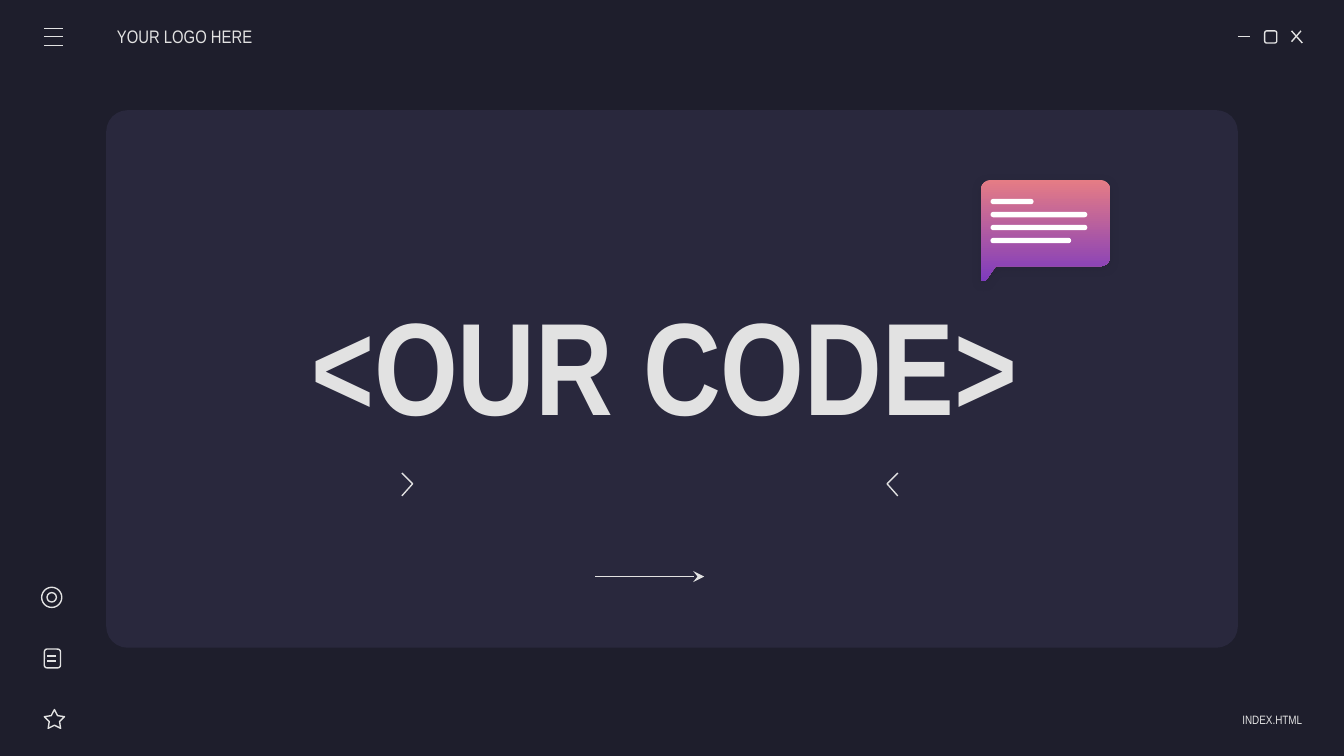
from dataclasses import dataclass
from math import cos, radians, sin

from lxml.etree import SubElement
from pptx import Presentation
from pptx.dml.color import RGBColor as RGB
from pptx.enum.shapes import MSO_CONNECTOR as Link, MSO_SHAPE as Kind
from pptx.enum.text import MSO_ANCHOR as Anchor, PP_ALIGN as Align
from pptx.oxml.ns import qn
from pptx.util import Inches, Pt


@dataclass(frozen=True)
class Theme:
    back: RGB = RGB.from_string("1E1E2C")
    panel: RGB = RGB.from_string("29283D")
    ink: RGB = RGB.from_string("E2E2E2")
    white: RGB = RGB.from_string("FFFFFF")
    coral: RGB = RGB.from_string("E57C85")
    purple: RGB = RGB.from_string("7E3BBE")
    font: str = "Arial Narrow"
    title: float = 70.4
    label: float = 9.7
    small: float = 6.5
    stroke: float = 0.75


theme = Theme()
deck = Presentation()
deck.slide_width = Inches(10)
deck.slide_height = Inches(10 * 9 / 16)
slide = deck.slides.add_slide(deck.slide_layouts[6])
slide.background.fill.solid()
slide.background.fill.fore_color.rgb = theme.back
shapes = slide.shapes


def paint(shape, fill=None):
    """Fill a shape, or only outline it when no fill is given."""
    shape.shadow.inherit = False
    if fill is None:
        shape.fill.background()
        shape.line.color.rgb = theme.ink
        shape.line.width = Pt(theme.stroke)
    else:
        shape.fill.solid()
        shape.fill.fore_color.rgb = fill
        shape.line.fill.background()


def write(text, box, size, bold=False, align=Align.LEFT, inset=0, space=1):
    frame = shapes.add_textbox(*map(Inches, box)).text_frame
    frame.word_wrap = True
    frame.vertical_anchor = Anchor.MIDDLE
    frame.margin_left = frame.margin_right = Inches(inset)
    frame.margin_top = frame.margin_bottom = Inches(inset)
    para = frame.paragraphs[0]
    para.alignment, para.line_spacing = align, space
    run = para.add_run()
    run.text = text
    run.font.name, run.font.size, run.font.bold = theme.font, Pt(size), bold
    run.font.color.rgb = theme.ink


# Main panel
panel = shapes.add_shape(Kind.ROUNDED_RECTANGLE, *map(Inches, (0.79, 0.82, 8.42, 4)))
panel.adjustments[0] = 0.04
paint(panel, theme.panel)

# Outlined icons: window box, star, page, ring
icons = [
    (Kind.ROUNDED_RECTANGLE, 9.41, 0.23, 0.09, 0.09),
    (Kind.STAR_5_POINT, 0.33, 5.28, 0.15, 0.14),
    (Kind.ROUNDED_RECTANGLE, 0.33, 4.83, 0.12, 0.14),
    (Kind.OVAL, 0.31, 4.37, 0.15, 0.15),
    (Kind.OVAL, 0.35, 4.41, 0.07, 0.07),
]
for kind, *box in icons:
    icon = shapes.add_shape(kind, *map(Inches, box))
    if kind == Kind.STAR_5_POINT:
        icon.adjustments[0] = 0.254
    paint(icon)

# Strokes: window buttons, menu bars, page lines, arrow
strokes = [
    (9.21, 0.27, 9.3, 0.27),
    (9.61, 0.23, 9.69, 0.32),
    (9.68, 0.23, 9.61, 0.31),
    *[(0.33, y, 0.47, y) for y in (0.21, 0.27, 0.34)],
    *[(0.35, y, 0.42, y) for y in (4.88, 4.92)],
    (4.43, 4.29, 5.24, 4.29),
]
for ends in strokes:
    stroke = shapes.add_connector(Link.STRAIGHT, *map(Inches, ends))
    stroke.line.color.rgb = theme.ink
    stroke.line.width = Pt(theme.stroke)
    props = stroke._element.spPr
    SubElement(props, qn("a:effectLst"))
# The last stroke is the arrow
SubElement(props.find(qn("a:ln")), qn("a:tailEnd"), type="stealth")

# Chevrons, mirrored
for base, tip in ((2.99, 3.07), (6.68, 6.6)):
    pen = shapes.build_freeform(Inches(base), Inches(3.52))
    pen.add_line_segments(
        [(Inches(tip), Inches(3.6)), (Inches(base), Inches(3.69))], close=False)
    paint(pen.convert_to_shape())

# Speech bubble: three round corners and a tail
radius = 0.07
edge = [
    (x + radius * cos(radians(turn + step)), y + radius * sin(radians(turn + step)))
    for x, y, turn in ((7.37, 1.41, 180), (8.19, 1.41, 270), (8.19, 1.91, 0))
    for step in range(0, 91, 10)
]
edge += [(7.41, 1.98), (7.34, 2.08), (7.33, 2.09), (7.31, 2.09), (7.3, 2.08)]
dots = [(Inches(x), Inches(y)) for x, y in edge]
pen = shapes.build_freeform(*dots[0])
pen.add_line_segments(dots[1:], close=True)
bubble = pen.convert_to_shape()
paint(bubble, theme.coral)
bubble.fill.gradient()
bubble.fill.gradient_angle = 270
for stop, place, color in zip(
        bubble.fill.gradient_stops, (0, 1), (theme.coral, theme.purple)):
    stop.position, stop.color.rgb = place, color
glow = SubElement(
    bubble._element.spPr.find(qn("a:effectLst")), qn("a:outerShdw"),
    blurRad=str(Pt(5)), dist=str(Pt(1.5)), dir="5400000", algn="bl", rotWithShape="0")
tint = SubElement(glow, qn("a:srgbClr"), val=str(theme.back))
SubElement(tint, qn("a:alpha"), val="30000")

# Message bars inside the bubble
for row, width in enumerate((0.32, 0.72, 0.72, 0.6)):
    box = (7.37, 1.48 + row * 0.29 / 3, width, 0.04)
    bar = shapes.add_shape(Kind.ROUNDED_RECTANGLE, *map(Inches, box))
    bar.adjustments[0] = 0.5
    paint(bar, theme.white)

# Text
write("YOUR LOGO HERE", (0.87, 0.12, 1.17, 0.3), theme.label)
write("INDEX.HTML", (8.62, 5.3, 1.07, 0.1), theme.small, align=Align.RIGHT, space=1.15)
write("<OUR CODE>", (1.63, 1.88, 6.63, 1.64), theme.title,
      bold=True, align=Align.CENTER, inset=0.1)

deck.save("out.pptx")
